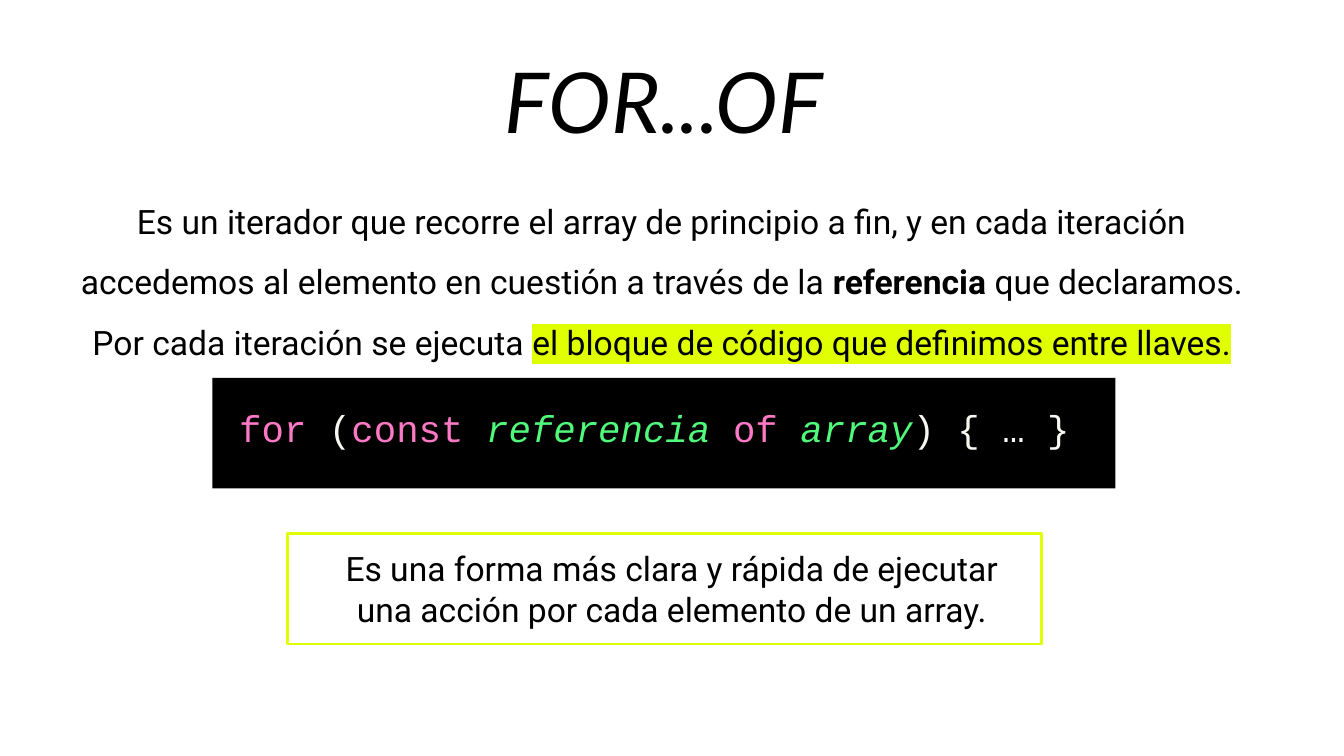
from dataclasses import dataclass

from lxml.etree import SubElement
from pptx import Presentation
from pptx.dml.color import RGBColor
from pptx.enum.shapes import MSO_SHAPE
from pptx.enum.text import MSO_ANCHOR, MSO_AUTO_SIZE, PP_ALIGN
from pptx.oxml.ns import qn
from pptx.util import Inches, Pt

COLORS = {
    "black": "000000",
    "lime": "E0FF00",
    "keyword": "FF79C6",
    "name": "50FA7B",
    "plain": "F8F8F2",
}
WIDTH = Inches(10)
HEIGHT = WIDTH * 9 // 16


@dataclass
class Span:
    text: str
    color: str = "black"
    bold: bool = False
    italic: bool = False
    highlight: str = ""


@dataclass
class Style:
    font: str
    size: int
    align: PP_ALIGN = PP_ALIGN.CENTER
    inset: float = 0.1
    line_spacing: float = 1.0
    space_after: int = 0


@dataclass
class Box:
    """Lengths in percent of the slide's width and height."""
    left: float
    top: float
    width: float
    height: float

    def emu(self) -> tuple[int, int, int, int]:
        return (round(self.left * WIDTH / 100), round(self.top * HEIGHT / 100),
                round(self.width * WIDTH / 100), round(self.height * HEIGHT / 100))


def rgb(name: str) -> RGBColor:
    return RGBColor.from_string(COLORS[name])


def place(sp, box: Box) -> None:
    sp.left, sp.top, sp.width, sp.height = box.emu()


def add_rect(s, box: Box, fill: str = "", line: str = ""):
    sp = s.shapes.add_shape(MSO_SHAPE.RECTANGLE, *box.emu())
    sp.shadow.inherit = False
    if fill:
        sp.fill.solid()
        sp.fill.fore_color.rgb = rgb(fill)
    else:
        sp.fill.background()
    if line:
        sp.line.color.rgb = rgb(line)
        sp.line.width = Pt(1.5)
    else:
        sp.line.fill.background()
    return sp


def write(sp, style: Style, spans: list[Span]) -> None:
    tf = sp.text_frame
    tf.word_wrap = True
    tf.auto_size = MSO_AUTO_SIZE.NONE
    tf.vertical_anchor = MSO_ANCHOR.TOP
    tf.margin_left = tf.margin_right = Inches(style.inset)
    tf.margin_top = tf.margin_bottom = Inches(style.inset)
    p = tf.paragraphs[0]
    p.alignment = style.align
    p.line_spacing = style.line_spacing
    p.space_before, p.space_after = Pt(0), Pt(style.space_after)
    # No bullet or hanging indent
    pPr = p._p.get_or_add_pPr()
    pPr.set("marL", "0")
    pPr.set("indent", "0")
    SubElement(pPr, qn("a:buNone"))
    for span in spans:
        r = p.add_run()
        r.text = span.text
        r.font.name, r.font.size = style.font, Pt(style.size)
        r.font.bold, r.font.italic = span.bold, span.italic
        r.font.color.rgb = rgb(span.color)
        if span.highlight:
            rPr = r.font._element
            mark = SubElement(rPr, qn("a:highlight"))
            SubElement(mark, qn("a:srgbClr"), val=COLORS[span.highlight])
            rPr.find(qn("a:solidFill")).addnext(mark)


def main() -> None:
    prs = Presentation()
    prs.slide_width, prs.slide_height = WIDTH, HEIGHT
    s = prs.slides.add_slide(prs.slide_layouts[1])

    # Title
    title = s.shapes.title
    place(title, Box(7.15, 4.8, 84.5, 19.2))
    write(title, Style("Lato", 45), [Span("FOR...OF", italic=True)])

    # Explanation
    body = s.placeholders[1]
    place(body, Box(4.5, 22.12, 89.5, 27))
    write(body, Style("Roboto", 18, line_spacing=1.5, space_after=12), [
        Span("Es un iterador que recorre el array de principio a fin, y en cada "
             "iteración accedemos al elemento en cuestión a través de la "),
        Span("referencia ", bold=True),
        Span("que declaramos. Por cada iteración se ejecuta "),
        Span("el bloque de código que definimos entre llaves.", highlight="lime"),
    ])

    # Code sample
    code = add_rect(s, Box(15.8, 50, 67.2, 14.6), fill="black")
    write(code, Style("Courier New", 20, PP_ALIGN.LEFT, 0.2), [
        Span("for", "keyword"),
        Span(" (", "plain"),
        Span("const ", "keyword"),
        Span("referencia ", "name", italic=True),
        Span("of ", "keyword"),
        Span("array", "name", italic=True),
        Span(") { … }", "plain"),
    ])

    # Framed conclusion
    note = s.shapes.add_textbox(*Box(22.5, 70.75, 55, 14.4).emu())
    write(note, Style("Roboto", 18), [
        Span("Es una forma más clara y rápida de ejecutar una acción por cada "
             "elemento de un array."),
    ])
    add_rect(s, Box(21.4, 70.6, 56.1, 14.6), line="lime")

    prs.save("out.pptx")


if __name__ == "__main__":
    main()
